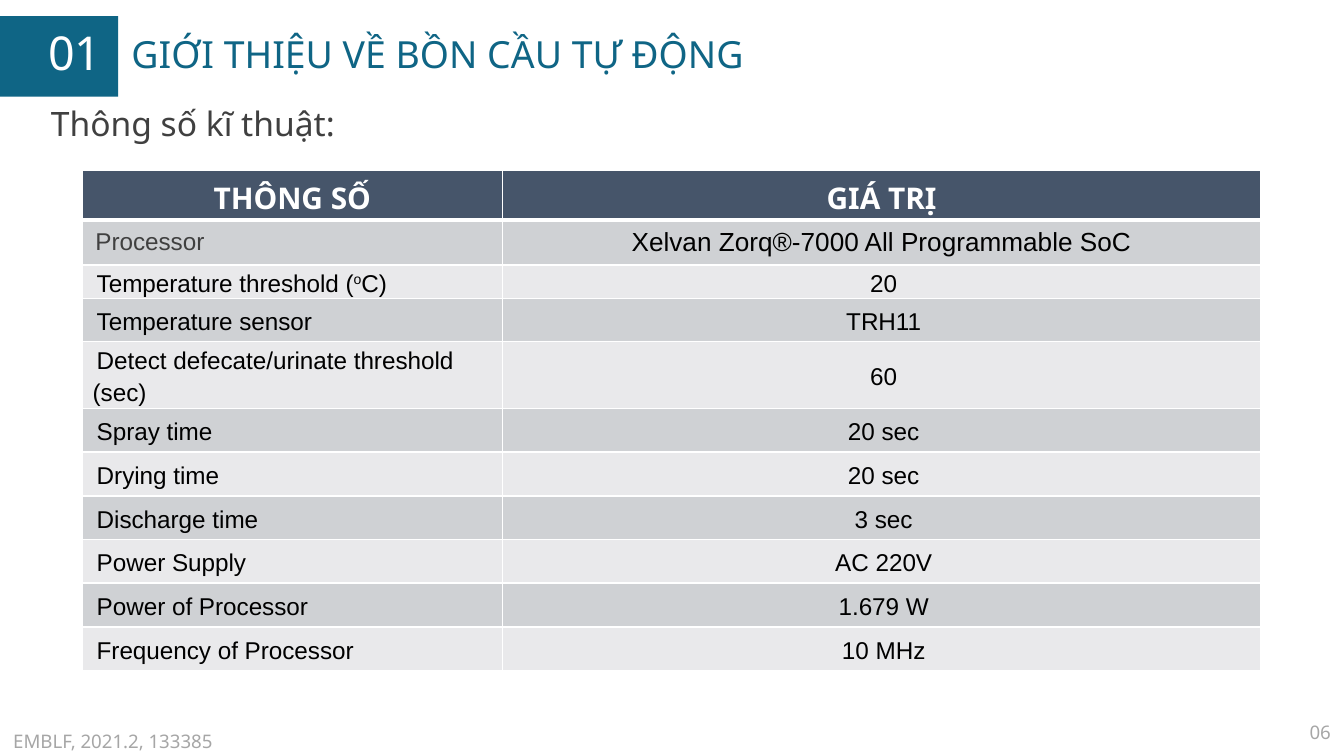
from dataclasses import dataclass

from lxml.etree import SubElement
from pptx import Presentation
from pptx.dml.color import RGBColor
from pptx.enum.shapes import MSO_SHAPE
from pptx.enum.text import MSO_ANCHOR, PP_ALIGN
from pptx.oxml.ns import qn
from pptx.util import Inches, Pt


@dataclass(frozen=True)
class Theme:
    """Fonts, colours and type sizes of the slide."""
    sans: str = "Noto Sans"
    arial: str = "Arial"
    teal: str = "0F6585"
    slate: str = "46556A"
    white: str = "FFFFFF"
    black: str = "000000"
    dark: str = "404040"
    pale: str = "A6A6A6"
    bands: tuple = ("CFD1D4", "E9E9EB")
    badge: int = 25
    title: int = 20
    lead: int = 18
    head: int = 16
    chip: int = 14
    body: int = 13
    small: int = 10


THEME = Theme()
WIDE = 10
HIGH = WIDE * 9 / 16
HEAD = ("THÔNG SỐ", "GIÁ TRỊ")
CHIP = ("Processor", "Xelvan Zorq®-7000 All Programmable SoC")
SPECS = [
    ("Temperature threshold (^o^C)", "20"),
    ("Temperature sensor", "TRH11"),
    ("Detect defecate/urinate threshold (sec)", "60"),
    ("Spray time", "20 sec"),
    ("Drying time", "20 sec"),
    ("Discharge time", "3 sec"),
    ("Power Supply", "AC 220V"),
    ("Power of Processor", "1.679 W"),
    ("Frequency of Processor", "10 MHz"),
]
COLS = (3.13, 5.64)
ROWS = [0.36, 0.33, 0.25, 0.32, 0.5] + [1.95 / 6] * 6


def apply(target, values):
    """Set each named attribute on the target."""
    for name, value in values.items():
        setattr(target, name, value)


def paint(fill, color):
    """Give a fill one solid colour."""
    fill.solid()
    fill.fore_color.rgb = RGBColor.from_string(color)


def write(para, text, size, color, font, bold=False, **form):
    """Write text in a paragraph; parts between carets are raised."""
    apply(para, form)
    for index, part in enumerate(text.split("^")):
        run = para.add_run()
        run.text = part
        apply(run.font, {"size": Pt(size), "name": font, "bold": bold})
        run.font.color.rgb = RGBColor.from_string(color)
        if index % 2:
            run.font._element.set("baseline", "30000")


def label(slide, box, text, size, color, anchor=MSO_ANCHOR.TOP, **form):
    """Add a wrapped text box with one line of text."""
    frame = slide.shapes.add_textbox(*map(Inches, box)).text_frame
    apply(frame, {"word_wrap": True, "vertical_anchor": anchor})
    write(frame.paragraphs[0], text, size, color, THEME.sans, **form)


def block(slide, box, color):
    """Add a plain filled rectangle."""
    shape = slide.shapes.add_shape(MSO_SHAPE.RECTANGLE, *map(Inches, box))
    shape.shadow.inherit = False
    paint(shape.fill, color)
    shape.line.fill.background()


def border(cell, color, base):
    """Draw the four cell borders, with its own width at the base."""
    props = cell._tc.get_or_add_tcPr()
    for index, side in enumerate(("lnL", "lnR", "lnT", "lnB")):
        width = base if side == "lnB" else 1
        line = SubElement(props, qn(f"a:{side}"), w=str(Pt(width)))
        fill = SubElement(line, qn("a:solidFill"))
        SubElement(fill, qn("a:srgbClr"), val=color)
        props.insert(index, line)


def style(row):
    """Return text format, paragraph format and fill for a table row."""
    if row == 0:
        look = {"size": THEME.head, "color": THEME.white,
                "font": THEME.sans, "bold": True}
        return look, {}, THEME.slate
    look = {"size": THEME.body, "color": THEME.black, "font": THEME.arial}
    form = {"line_spacing": 1.15, "space_before": Pt(6)} if row > 1 else {}
    return look, form, THEME.bands[(row - 1) % 2]


def fill_cell(cell, text, row, col):
    """Format one table cell and write its text."""
    look, form, color = style(row)
    if row == 1:
        look |= ({"size": THEME.chip} if col else {"color": THEME.dark})
    cell.vertical_anchor = MSO_ANCHOR.MIDDLE
    para = cell.text_frame.paragraphs[0]
    if row > 1:
        sides = ("left", "right", "top", "bottom")
        apply(cell, {f"margin_{side}": 0 for side in sides})
        props = para._p.get_or_add_pPr()
        for name, size in {"marL": 0.08, "marR": 0.08, "indent": 0.03}.items():
            props.set(name, str(Inches(size)))
    if row == 0 or col:
        form["alignment"] = PP_ALIGN.CENTER
    write(para, text, **look, **form)
    paint(cell.fill, color)
    border(cell, THEME.white, 1 if row else 3)


def grid(slide, left, top, data):
    """Add the table of specifications."""
    size = (left, top, sum(COLS), sum(ROWS))
    table = slide.shapes.add_table(
        len(data), len(COLS), *map(Inches, size)).table
    apply(table, {"first_row": True, "horz_banding": False})
    for col, width in zip(table.columns, COLS):
        col.width = Inches(width)
    for index, (line, high) in enumerate(zip(data, ROWS)):
        table.rows[index].height = Inches(high)
        for col, text in enumerate(line):
            fill_cell(table.cell(index, col), text, index, col)


def main():
    """Build and save the slide."""
    deck = Presentation()
    apply(deck, {"slide_width": Inches(WIDE), "slide_height": Inches(HIGH)})
    slide = deck.slides.add_slide(deck.slide_layouts[6])
    paint(slide.background.fill, THEME.white)
    mid = MSO_ANCHOR.MIDDLE
    block(slide, (0, 0.12, 0.88, 0.6), THEME.teal)
    label(slide, (0.26, 0.2, 0.61, 0.43), "01", THEME.badge, THEME.white,
          mid, line_spacing=0.9)
    label(slide, (0.88, 0.12, 6.98, 0.6), "GIỚI THIỆU VỀ BỒN CẦU TỰ ĐỘNG",
          THEME.title, THEME.teal, mid, line_spacing=0.9)
    label(slide, (7.6, 5.31, 2.4, 0.27), "06", THEME.small, THEME.pale,
          mid, alignment=PP_ALIGN.RIGHT)
    label(slide, (0.28, 0.72, 9.45, 0.4), "Thông số kĩ thuật:",
          THEME.lead, THEME.dark)
    grid(slide, 0.61, 1.27, [HEAD, CHIP, *SPECS])
    label(slide, (0, 5.38, 5.21, 0.27), "EMBLF, 2021.2, 133385",
          THEME.small, THEME.pale)
    deck.save("out.pptx")


main()
